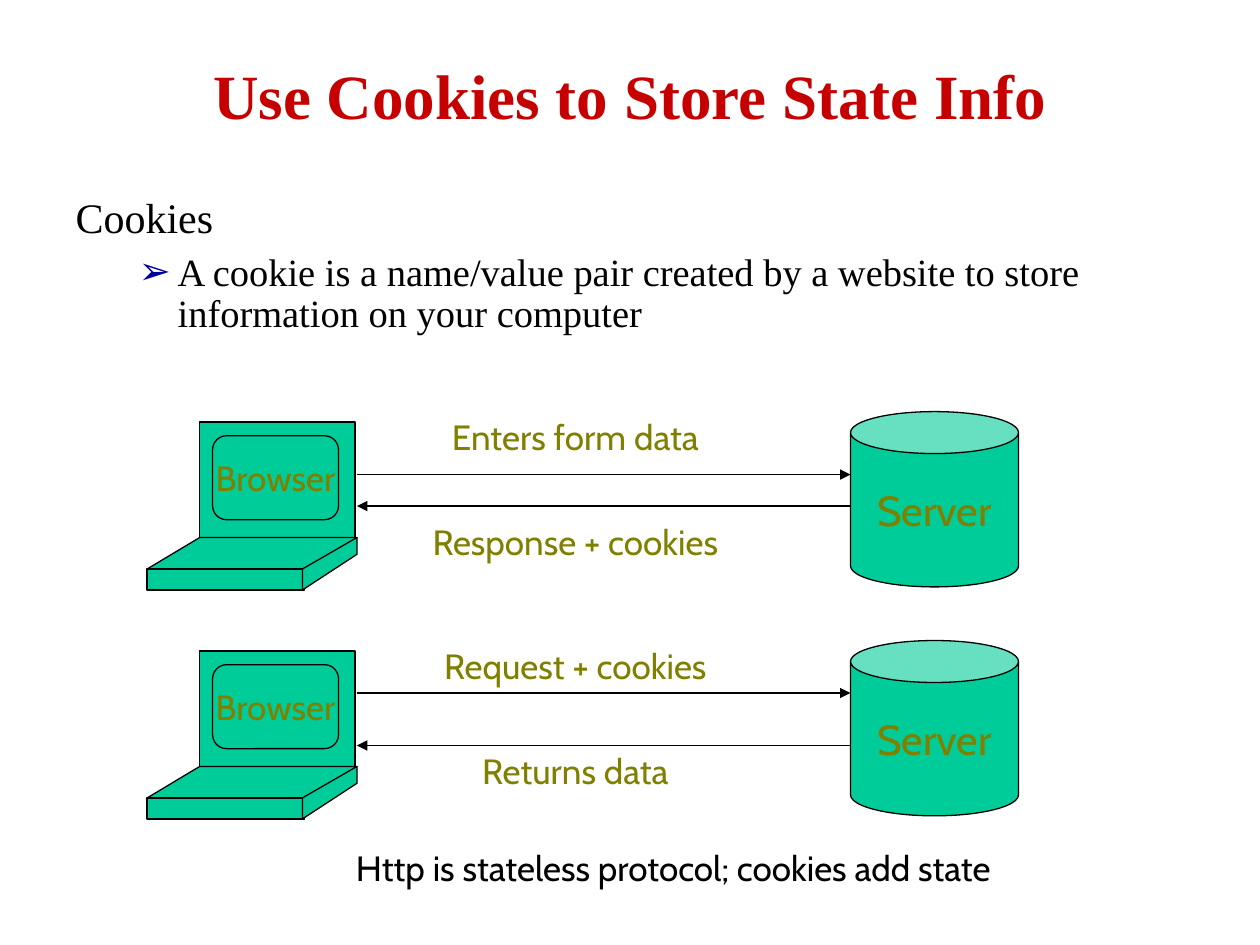
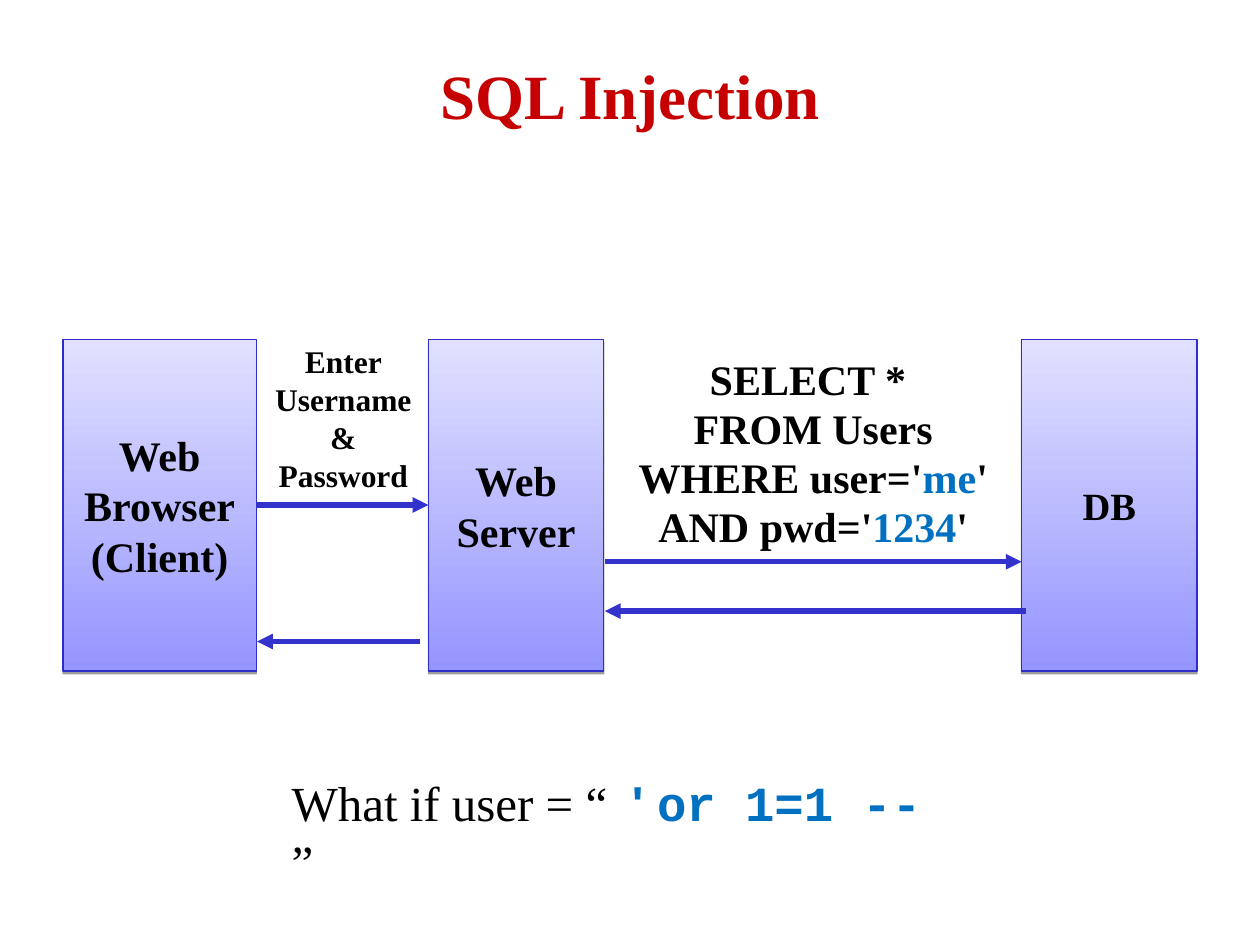
from dataclasses import dataclass, replace
from typing import Any, NamedTuple

import pptx
import pptx.dml.color
import pptx.enum.shapes
import pptx.enum.text
import pptx.oxml
import pptx.oxml.ns
import pptx.util

# Shared grid: 120 columns by 90 rows
PAGE_WIDTH, PAGE_HEIGHT = pptx.util.Inches(10), pptx.util.Inches(7.5)
COLUMNS, ROWS = 120, 90

# Shared colours
TITLE_RED, BLACK, OLIVE, MINT = "C60000", "000000", "808000", "00CC99"
BULLET_BLUE, CODE_BLUE, ARROW_BLUE, EDGE_BLUE = "000099", "0070C0", "3333CC", "2E2ECB"
GRADIENT = ("9595FF", "E1E1FF")

SHAPES = pptx.enum.shapes.MSO_SHAPE
CENTER = pptx.enum.text.PP_ALIGN.CENTER
LEFT = pptx.enum.text.PP_ALIGN.LEFT
MIDDLE = pptx.enum.text.MSO_ANCHOR.MIDDLE
TOP = pptx.enum.text.MSO_ANCHOR.TOP
GROW = pptx.enum.text.MSO_AUTO_SIZE.SHAPE_TO_FIT_TEXT
FIXED = pptx.enum.text.MSO_AUTO_SIZE.NONE


class Area(NamedTuple):
    left: float
    top: float
    width: float
    height: float


@dataclass(frozen=True)
class Style:
    name: str
    size: float
    color: str
    bold: bool = False


@dataclass(frozen=True)
class Span:
    text: str
    style: Style
    tracking: float = 0


@dataclass(frozen=True)
class Arrow:
    start: tuple[float, float]
    end: tuple[float, float]


@dataclass(frozen=True)
class Label:
    text: str
    top: float
    width: float


@dataclass(frozen=True)
class Exchange:
    top: float
    arrow_rows: tuple[float, float]
    labels: tuple[Label, Label]


@dataclass(frozen=True)
class Tier:
    area: Area
    lines: tuple[str, ...]
    size: float = 24


Lines = list[list[Span]]
SERIF = Style("Times New Roman", 24, BLACK)
STRONG = replace(SERIF, bold=True)
TITLE = Style("Times New Roman", 36, TITLE_RED, True)
CABIN = Style("Cabin", 20, OLIVE)


# Units and formats
def col(count: float) -> int:
    return round(PAGE_WIDTH * count / COLUMNS)


def row(count: float) -> int:
    return round(PAGE_HEIGHT * count / ROWS)


def place(area: Area) -> tuple[int, int, int, int]:
    return col(area.left), row(area.top), col(area.width), row(area.height)


def rgb(value: str) -> pptx.dml.color.RGBColor:
    return pptx.dml.color.RGBColor.from_string(value)


def apply(target: Any, values: dict[str, Any]) -> None:
    for name, value in values.items():
        setattr(target, name, value)


def xml(markup: str) -> Any:
    tag, rest = markup[:-2].split(">", 1)[0].split(" ", 1) if " " in markup.split(">")[0] else (
        markup.split(">")[0].rstrip("/"), "")
    head = f"{tag} {pptx.oxml.ns.nsdecls('a')}"
    return pptx.oxml.parse_xml(markup.replace(tag, head, 1))


# Text
def write(frame: Any, lines: Lines, align: Any, **spacing: Any) -> None:
    for index, spans in enumerate(lines):
        para = frame.paragraphs[0] if index == 0 else frame.add_paragraph()
        apply(para, {"alignment": align, **spacing})
        for span in spans:
            for number, text in enumerate(span.text.split("\n")):
                if number:
                    para.add_line_break()
                if not text:
                    continue
                run = para.add_run()
                run.text = text
                style = span.style
                apply(run.font, {"name": style.name, "bold": style.bold,
                                 "size": pptx.util.Pt(style.size)})
                run.font.color.rgb = rgb(style.color)
                if span.tracking:
                    run.font._element.set("spc", str(round(span.tracking * 100)))


def add_text(page: Any, area: Area, lines: Lines, align: Any = CENTER,
             wrap: bool = False, **spacing: Any) -> None:
    frame = page.shapes.add_textbox(*place(area)).text_frame
    apply(frame, {"word_wrap": wrap, "auto_size": GROW})
    write(frame, lines, align, **spacing)


def move_placeholder(box: Any, area: Area, anchor: Any) -> Any:
    apply(box, dict(zip(("left", "top", "width", "height"), place(area))))
    apply(box.text_frame, {"auto_size": FIXED, "vertical_anchor": anchor, "word_wrap": True})
    return box.text_frame


def add_page(deck: Any, layout: int, title: str) -> Any:
    page = deck.slides.add_slide(deck.slide_layouts[layout])
    frame = move_placeholder(page.shapes.title, Area(9, 4, 102, 10), MIDDLE)
    write(frame, [[Span(title, TITLE)]], CENTER)
    return page


# Shapes and arrows
def outline(shape: Any, color: str) -> None:
    shape.line.color.rgb = rgb(color)
    shape.line.width = pptx.util.Pt(0.75)


def paint(shape: Any) -> None:
    shape.shadow.inherit = False
    shape.fill.solid()
    shape.fill.fore_color.rgb = rgb(MINT)
    outline(shape, BLACK)


def add_part(page: Any, kind: Any, area: Area, lines: Lines | None = None) -> Any:
    shape = page.shapes.add_shape(kind, *place(area))
    paint(shape)
    if lines:
        apply(shape.text_frame, {"word_wrap": False, "vertical_anchor": MIDDLE})
        write(shape.text_frame, lines, CENTER)
    return shape


def add_arrow(page: Any, arrow: Arrow, color: str, width: float) -> Any:
    (x1, y1), (x2, y2) = arrow.start, arrow.end
    line = page.shapes.add_connector(pptx.enum.shapes.MSO_CONNECTOR.STRAIGHT,
                                     col(x1), row(y1), col(x2), row(y2))
    line.line.color.rgb = rgb(color)
    line.line.width = pptx.util.Pt(width)
    line.line._get_or_add_ln().append(xml('<a:tailEnd type="triangle"/>'))
    line._element.spPr.append(xml("<a:effectLst/>"))
    return line


# Slide 1: cookies
def add_laptop(page: Any, top: float) -> None:
    add_part(page, SHAPES.RECTANGLE, Area(19, top + 1, 14.8, 11))
    add_part(page, SHAPES.ROUNDED_RECTANGLE, Area(20.25, top + 2.3, 12, 8),
             [[Span("Browser", CABIN)]])
    keyboard = add_part(page, SHAPES.PARALLELOGRAM, Area(14, top + 12, 20, 3))
    keyboard.adjustments[0] = 1.67
    add_part(page, SHAPES.RECTANGLE, Area(14, top + 15, 15, 2))
    corners = [(28.8, 17), (34, 13.6), (34, 12), (28.8, 15)]
    points = [(col(x), row(top + y)) for x, y in corners]
    builder = page.shapes.build_freeform(*points[0], scale=1.0)
    builder.add_line_segments(points[1:], close=True)
    paint(builder.convert_to_shape())


def add_exchange(page: Any, exchange: Exchange) -> None:
    top, label_middle = exchange.top, 54.8
    add_laptop(page, top)
    add_part(page, SHAPES.CAN, Area(81, top, 16, 16.7),
             [[Span("Server", replace(CABIN, size=24))]])
    out, back = (top + offset for offset in exchange.arrow_rows)
    add_arrow(page, Arrow((34, out), (81, out)), BLACK, 0.75)
    add_arrow(page, Arrow((81, back), (34, back)), BLACK, 0.75)
    for label in exchange.labels:
        area = Area(label_middle - label.width / 2, top + label.top, label.width, 5.25)
        add_text(page, area, [[Span(label.text, CABIN)]])


def build_cookies(deck: Any) -> None:
    page = add_page(deck, 1, "Use Cookies to Store State Info")
    frame = move_placeholder(page.placeholders[1], Area(6, 18, 108, 62), TOP)
    write(frame, [[Span("Cookies", SERIF)],
                  [Span("A cookie is a name/value pair created by a website to store "
                        "information on your computer", replace(SERIF, size=22))]], LEFT)
    heading, detail = frame.paragraphs
    for para, margin, indent, marks in (
            (heading, 0.38, -0.38, ["<a:buNone/>"]),
            (detail, 0.81, -0.31, [f'<a:buClr><a:srgbClr val="{BULLET_BLUE}"/></a:buClr>',
                                   '<a:buChar char="➢"/>'])):
        properties = para._p.get_or_add_pPr()
        properties.set("marL", str(pptx.util.Inches(margin)))
        properties.set("indent", str(pptx.util.Inches(indent)))
        for mark in marks:
            properties.append(xml(mark))
    apply(heading, {"line_spacing": 0.95, "space_before": pptx.util.Pt(0)})
    apply(detail, {"level": 1, "line_spacing": 0.9, "space_before": pptx.util.Pt(5.5)})

    for exchange in (
            Exchange(39.2, (6, 9), (Label("Enters form data", -0.2, 28.8),
                                    Label("Response + cookies", 9.8, 33))),
            Exchange(61, (5, 10), (Label("Request + cookies", -0.2, 30.6),
                                   Label("Returns data", 9.8, 22.6)))):
        add_exchange(page, exchange)
    add_text(page, Area(29, 80, 70.3, 5.25),
             [[Span("Http is stateless protocol; cookies add state",
                    replace(CABIN, color=BLACK))]])


# Slide 2: SQL injection
def add_tier(page: Any, tier: Tier) -> Any:
    style = replace(STRONG, size=tier.size)
    box = add_part(page, SHAPES.RECTANGLE, tier.area,
                   [[Span(line, style)] for line in tier.lines])
    box.fill.gradient()
    box.fill.gradient_angle = 90
    for stop, color in zip(box.fill.gradient_stops, GRADIENT):
        stop.color.rgb = rgb(color)
    outline(box, EDGE_BLUE)
    effects = box._element.spPr.find(pptx.oxml.ns.qn("a:effectLst"))
    effects.append(xml('<a:outerShdw blurRad="0" dist="20000" dir="5400000">'
                       f'<a:srgbClr val="{BLACK}"><a:alpha val="38000"/></a:srgbClr>'
                       '</a:outerShdw>'))
    return box


def build_injection(deck: Any) -> None:
    page = add_page(deck, 5, "SQL Injection")
    top, height = 32.3, 31.6
    browser, server, _ = [add_tier(page, tier) for tier in (
        Tier(Area(6, top, 18.4, height), ("Web", "Browser\n(Client)")),
        Tier(Area(40.8, top, 16.7, height), ("Web", "Server")),
        Tier(Area(97.3, top, 16.7, height), ("DB",), 22))]

    # Requests and replies
    request, *_ = [add_arrow(page, arrow, ARROW_BLUE, 3) for arrow in (
        Arrow((24.4, 48), (40.8, 48)), Arrow((40, 61.1), (24.5, 61.1)),
        Arrow((57.6, 53.5), (97.3, 53.5)), Arrow((97.7, 58.2), (57.6, 58.2)))]
    request.begin_connect(browser, 3)
    request.end_connect(server, 1)

    # Messages
    small = replace(STRONG, size=18)
    add_text(page, Area(25, 32, 15.4, 15.6),
             [[Span(line, small)] for line in ("Enter", "Username", "&", "Password")])
    value = replace(STRONG, color=CODE_BLUE)
    add_text(page, Area(57.6, 33.2, 39.7, 19.9), [
        [Span("SELECT * ", STRONG)],
        [Span("FROM Users", STRONG)],
        [Span("WHERE user='", STRONG), Span("me", value), Span("'\nAND pwd='", STRONG),
         Span("1234", value), Span("'", STRONG)],
    ], wrap=True, line_spacing=pptx.util.Pt(28))

    question = replace(SERIF, size=28)
    attack = Style("Courier New", 28, CODE_BLUE, True)
    add_text(page, Area(26.6, 73, 66.6, 6.8), [[
        Span("What if user = “", question), Span(" ", question, 7),
        Span("' ", replace(attack, name="Arial")), Span("or 1=1 --", attack),
        Span(" ", attack, 16.8), Span("”", question)]], LEFT)


def main() -> None:
    deck = pptx.Presentation()
    apply(deck, {"slide_width": PAGE_WIDTH, "slide_height": PAGE_HEIGHT})
    build_cookies(deck)
    build_injection(deck)
    deck.save("out.pptx")


if __name__ == "__main__":
    main()
